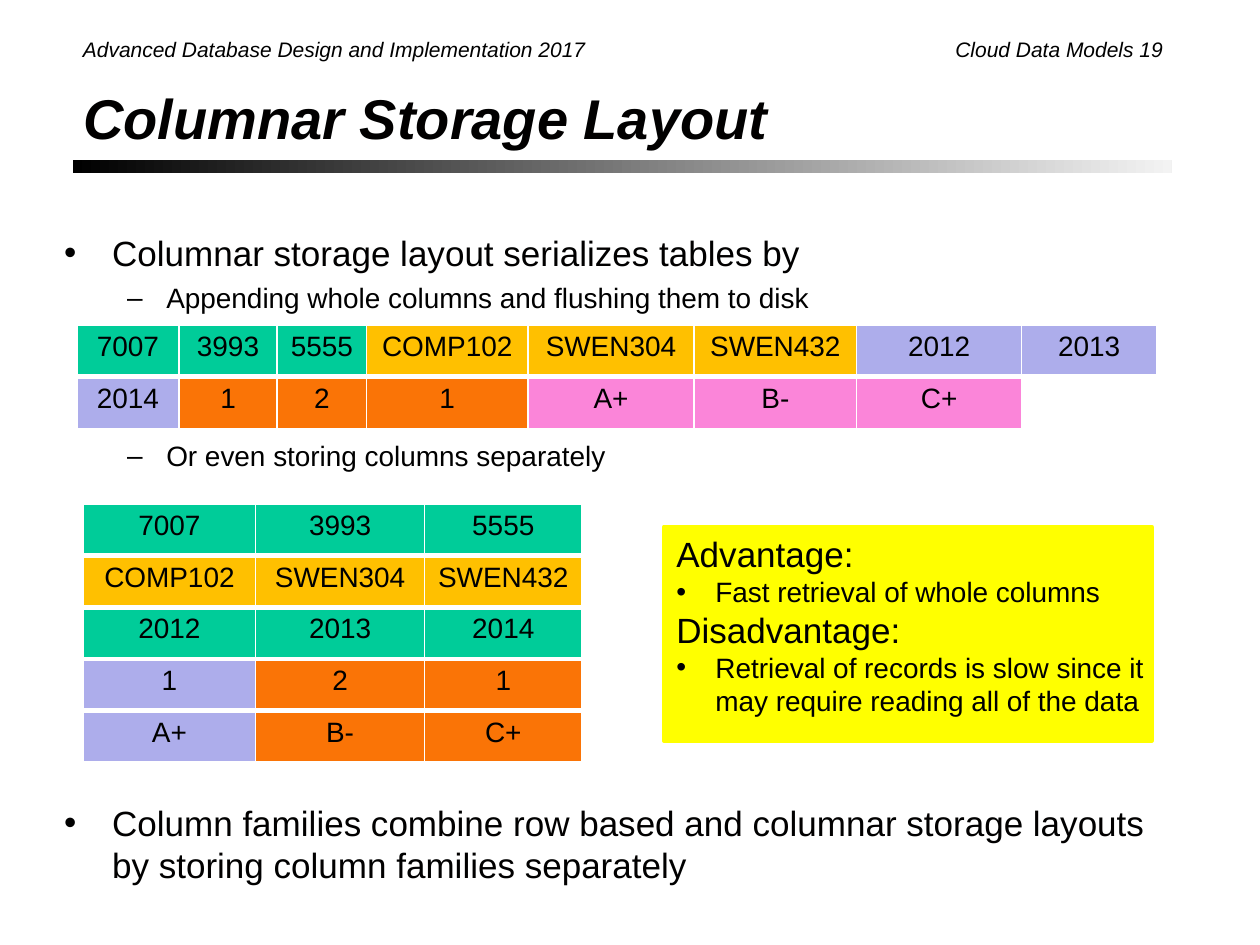
from dataclasses import dataclass

from lxml.etree import SubElement
from pptx import Presentation
from pptx.dml.color import RGBColor as Rgb
from pptx.enum.shapes import MSO_SHAPE as Shape
from pptx.enum.text import MSO_ANCHOR as Anchor, MSO_AUTO_SIZE as AutoSize, PP_ALIGN as Align
from pptx.oxml.ns import qn
from pptx.util import Inches, Pt


@dataclass(frozen=True)
class Theme:
    font: str = "Arial"
    ink: str = "000000"
    title_ink: str = "010000"
    paper: str = "FFFFFF"
    fade: str = "F3F3F3"
    note: str = "FFFF00"
    green: str = "00CC99"
    gold: str = "FFC000"
    lilac: str = "ADADEB"
    orange: str = "FA7406"
    pink: str = "FB85D9"
    title_size: int = 32
    large_size: int = 20
    medium_size: int = 16
    small_size: int = 12


class SlideBuilder:
    def __init__(self, deck, theme):
        self.theme = theme
        self.slide = deck.slides.add_slide(deck.slide_layouts[1])

    def place(self, shape, left, top, width, height):
        bounds = {"left": left, "top": top, "width": width, "height": height}
        for name, value in bounds.items():
            setattr(shape, name, Inches(value))

    def set_text(self, para, text, size, color=None, **font_format):
        para.text = text
        style = {"name": self.theme.font, "size": Pt(size), **font_format}
        for span in para.runs:
            for name, value in style.items():
                setattr(span.font, name, value)
            span.font.color.rgb = Rgb.from_string(color or self.theme.ink)

    def hang(self, para, left, hanging, bullet):
        """Give a paragraph a bullet with a hanging indent, in inches."""
        properties = para._p.get_or_add_pPr()
        properties.set("marL", str(Inches(left)))
        properties.set("indent", str(-Inches(hanging)))
        SubElement(properties, qn("a:buFont"), typeface=self.theme.font)
        SubElement(properties, qn("a:buChar"), char=bullet)

    def header(self, text, bounds, align):
        box = self.slide.shapes.add_textbox(*map(Inches, bounds))
        frame = box.text_frame
        frame.word_wrap = True
        frame.vertical_anchor = Anchor.MIDDLE
        para = frame.paragraphs[0]
        para.alignment = align
        self.set_text(para, text, self.theme.small_size, italic=True)

    def title(self, text, bounds):
        title = self.slide.shapes.title
        self.place(title, *bounds)
        frame = title.text_frame
        frame.auto_size = AutoSize.NONE
        frame.vertical_anchor = Anchor.MIDDLE
        para = frame.paragraphs[0]
        para.alignment = Align.LEFT
        self.set_text(para, text, self.theme.title_size, self.theme.title_ink, bold=True, italic=True)

    def rectangle(self, bounds):
        shape = self.slide.shapes.add_shape(Shape.RECTANGLE, *map(Inches, bounds))
        shape.shadow.inherit = False
        return shape

    def title_rule(self, bounds):
        rule = self.rectangle(bounds)
        rule.line.fill.background()
        rule.fill.gradient()
        rule.fill.gradient_angle = 0
        for stop, position, color in zip(
            rule.fill.gradient_stops, (0, 1), (self.theme.ink, self.theme.fade)
        ):
            stop.position = position
            stop.color.rgb = Rgb.from_string(color)

    def bullets(self, bounds, top_margin, items):
        """Fill the body with (level, space before in points, text) items."""
        body = self.slide.placeholders[1]
        self.place(body, *bounds)
        frame = body.text_frame
        frame.auto_size = AutoSize.NONE
        frame.margin_top = Inches(top_margin)
        levels = (
            (0.38, 0.38, "•", self.theme.large_size, self.theme.title_ink),
            (0.81, 0.31, "–", self.theme.medium_size, self.theme.ink),
        )
        for index, (level, space, text) in enumerate(items):
            para = frame.add_paragraph() if index else frame.paragraphs[0]
            left, hanging, bullet, size, color = levels[level]
            para.level = level
            para.space_before = Pt(space)
            self.hang(para, left, hanging, bullet)
            self.set_text(para, text, size, color)

    def borders(self, cell, top, bottom):
        properties = cell._tc.get_or_add_tcPr()
        for side, width in {"L": 1, "R": 1, "T": top, "B": bottom}.items():
            line = SubElement(properties, qn(f"a:ln{side}"), w=str(Pt(width)))
            fill = SubElement(line, qn("a:solidFill"))
            SubElement(fill, qn("a:srgbClr"), val=self.theme.paper)

    def table(self, left, top, row_height, widths, rows):
        """Draw rows of (text, fill) cells with thick lines between the rows."""
        bounds = (left, top, sum(widths), row_height * len(rows))
        frame = self.slide.shapes.add_table(len(rows), len(widths), *map(Inches, bounds))
        table = frame.table
        table.first_row = table.horz_banding = False
        for column, width in zip(table.columns, widths):
            column.width = Inches(width)
        for row_index, row in enumerate(rows):
            for column_index, (text, color) in enumerate(row):
                cell = table.cell(row_index, column_index)
                is_last = row_index == len(rows) - 1
                self.borders(cell, 3 if row_index else 1, 1 if is_last else 3)
                cell.fill.solid()
                cell.fill.fore_color.rgb = Rgb.from_string(color)
                para = cell.text_frame.paragraphs[0]
                para.alignment = Align.CENTER
                self.set_text(para, text, self.theme.medium_size)

    def note(self, bounds, sections):
        box = self.rectangle(bounds)
        box.fill.solid()
        for color in (box.fill.fore_color, box.line.color):
            color.rgb = Rgb.from_string(self.theme.note)
        box.line.width = Pt(2.25)
        frame = box.text_frame
        frame.word_wrap = False
        frame.vertical_anchor = Anchor.TOP
        for index, (heading, point) in enumerate(sections):
            para = frame.add_paragraph() if index else frame.paragraphs[0]
            self.set_text(para, heading, self.theme.large_size)
            point_para = frame.add_paragraph()
            self.hang(point_para, 0.31, 0.31, "•")
            self.set_text(point_para, point, self.theme.medium_size)
        for para in frame.paragraphs:
            para.alignment = Align.LEFT


def main():
    deck = Presentation()
    deck.slide_width, deck.slide_height = Inches(10), Inches(7.5)
    theme = Theme()
    page = SlideBuilder(deck, theme)

    page.header("Advanced Database Design and Implementation 2017", (0.56, 0.25, 4.67, 0.28), Align.LEFT)
    page.header("Cloud Data Models 19", (4.73, 0.24, 4.6, 0.3), Align.RIGHT)
    page.title_rule((0.58, 1.27, 8.72, 0.1))
    page.title("Columnar Storage Layout", (0.56, 0.47, 8.75, 0.92))
    page.bullets((0.41, 1.38, 9.06, 5.89), 0.46, [
        (0, 0, "Columnar storage layout serializes tables by"),
        (1, 4, "Appending whole columns and flushing them to disk"),
        (1, 71, "Or even storing columns separately"),
        (0, 188, "Column families combine row based and columnar storage layouts "
                 "by storing column families separately"),
    ])

    numbers = ("7007", "3993", "5555")
    courses = ("COMP102", "SWEN304", "SWEN432")
    years = ("2012", "2013", "2014")
    terms = ("1", "2", "1")
    grades = ("A+", "B-", "C+")
    columns = (numbers, courses, years, terms, grades)

    colors = (theme.green, theme.gold, theme.lilac, theme.orange, theme.pink)
    serial = [(text, color) for column, color in zip(columns, colors) for text in column]
    serial.append(("", theme.paper))
    page.table(0.61, 2.58, 0.41, (0.81, 0.78, 0.71, 1.28, 1.32, 1.29, 1.31, 1.07),
               (serial[:8], serial[8:]))

    mixed = (theme.lilac, theme.orange, theme.orange)
    row_colors = [(color,) * 3 for color in (theme.green, theme.gold, theme.green)] + [mixed] * 2
    separate = [list(zip(column, fills)) for column, fills in zip(columns, row_colors)]
    page.table(0.66, 4, 0.41, (1.37, 1.34, 1.25), separate)

    page.note((5.27, 4.18, 3.87, 1.7), [
        ("Advantage:", "Fast retrieval of whole columns"),
        ("Disadvantage:", "Retrieval of records is slow since it\vmay require reading all of the data"),
    ])
    deck.save("out.pptx")


if __name__ == "__main__":
    main()
